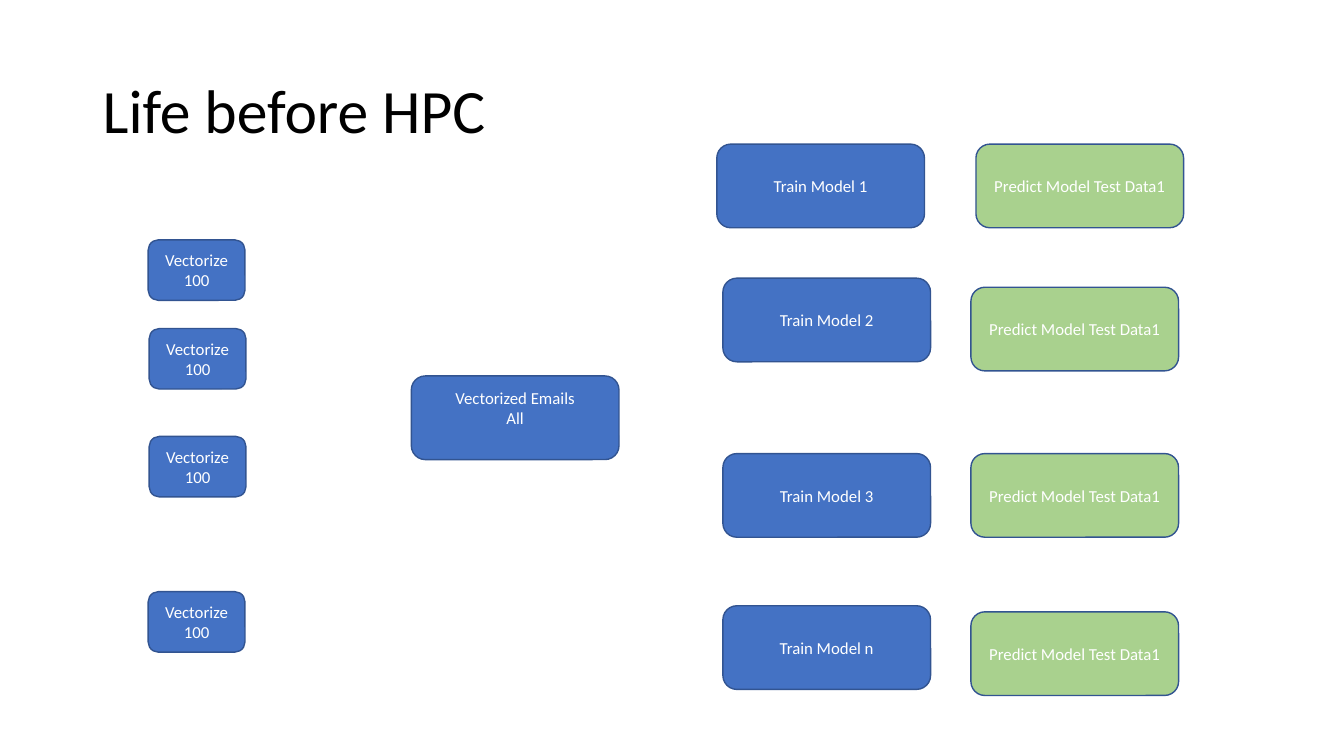
"""Build the slide on life before HPC."""
from dataclasses import dataclass

import pptx
import pptx.util
import pptx.dml.color
import pptx.enum.shapes
import pptx.enum.text
import pptx.slide
import pptx.text.text

Inches = pptx.util.Inches
Pt = pptx.util.Pt
RGBColor = pptx.dml.color.RGBColor
Align = pptx.enum.text.PP_ALIGN
Anchor = pptx.enum.text.MSO_ANCHOR

BLUE = RGBColor(0x44, 0x72, 0xC4)
GREEN = RGBColor(0xA9, 0xD1, 0x8E)
EDGE = RGBColor(0x32, 0x54, 0x91)
WHITE = RGBColor(255, 255, 255)
BLACK = RGBColor(0, 0, 0)
SMALL = (0.96, 0.6)
LARGE = (2.06, 0.83)


@dataclass
class Box:
    """A rounded step with its lines of text."""
    left: float
    top: float
    size: tuple[float, float]
    lines: tuple[str, ...]
    fill: RGBColor = BLUE
    bottom: float = 0.05


def write(para: pptx.text.text._Paragraph, text: str, size: int, color: RGBColor) -> None:
    """Add one run to a paragraph."""
    run = para.add_run()
    run.text = text
    run.font.name = "Calibri"
    run.font.size = Pt(size)
    run.font.color.rgb = color


def draw_title(slide: pptx.slide.Slide, text: str) -> None:
    """Draw the slide title."""
    area = slide.shapes.add_textbox(Inches(0.92), Inches(0.4), Inches(11.5), Inches(1.45))
    frame = area.text_frame
    frame.word_wrap = True
    frame.vertical_anchor = Anchor.MIDDLE
    para = frame.paragraphs[0]
    para.line_spacing = 0.9
    write(para, text, 44, BLACK)


def draw_box(slide: pptx.slide.Slide, box: Box) -> None:
    """Draw one rounded step."""
    place = [Inches(n) for n in (box.left, box.top, *box.size)]
    shape = slide.shapes.add_shape(pptx.enum.shapes.MSO_SHAPE.ROUNDED_RECTANGLE, *place)
    shape.shadow.inherit = False
    shape.fill.solid()
    shape.fill.fore_color.rgb = box.fill
    shape.line.color.rgb = EDGE
    shape.line.width = Pt(1)
    frame = shape.text_frame
    frame.word_wrap = True
    frame.vertical_anchor = Anchor.MIDDLE
    frame.margin_bottom = Inches(box.bottom)
    for i, line in enumerate(box.lines):
        para = frame.add_paragraph() if i else frame.paragraphs[0]
        para.alignment = Align.CENTER
        write(para, line, 12, WHITE)


VECTORS = [(1.47, 2.38), (1.48, 3.26), (1.48, 4.33), (1.47, 5.87)]
TRAINS = [(7.11, 1.43, "1"), (7.17, 2.76, "2"), (7.17, 4.5, "3"), (7.17, 6.01, "n")]
TESTS = [(9.68, 1.43), (9.63, 2.85), (9.63, 4.5), (9.63, 6.07)]

BOXES = [
    *(Box(x, y, SMALL, ("Vectorize", "100")) for x, y in VECTORS),
    Box(4.08, 3.73, LARGE, ("Vectorized Emails", "All"), bottom=0.25),
    *(Box(x, y, LARGE, (f"Train Model {name}",)) for x, y, name in TRAINS),
    *(Box(x, y, LARGE, ("Predict Model Test Data1",), GREEN) for x, y in TESTS),
]


def main() -> None:
    """Build and save the deck."""
    deck = pptx.Presentation()
    deck.slide_width = Inches(13.33)
    deck.slide_height = Inches(7.5)
    slide = deck.slides.add_slide(deck.slide_layouts[6])
    draw_title(slide, "Life before HPC")
    for box in BOXES:
        draw_box(slide, box)
    deck.save("out.pptx")


main()
